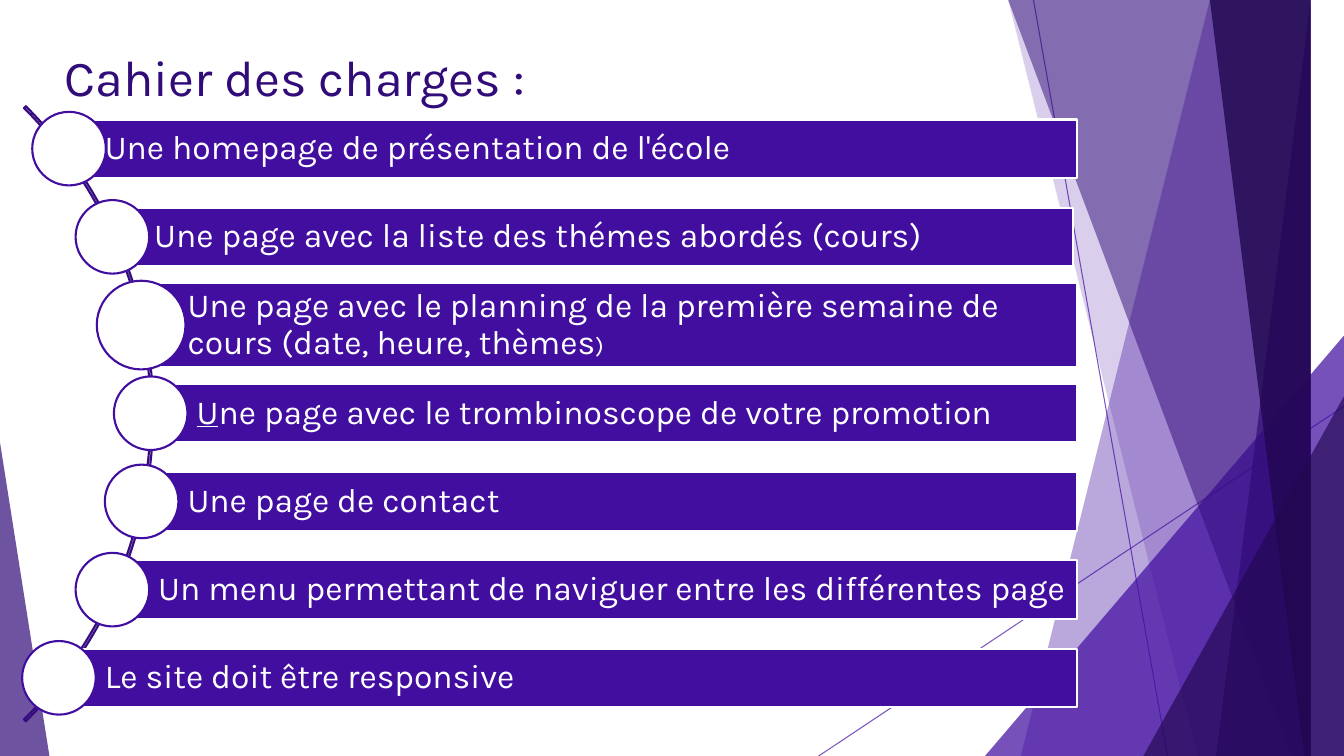
from dataclasses import dataclass

from lxml.etree import SubElement
from pptx import Presentation
from pptx.dml.color import RGBColor
from pptx.enum.shapes import MSO_CONNECTOR, MSO_SHAPE
from pptx.enum.text import MSO_ANCHOR, MSO_AUTO_SIZE, PP_ALIGN
from pptx.oxml.ns import qn
from pptx.util import Inches, Pt


@dataclass(frozen=True)
class Theme:
    font: str = "Karla"
    white: str = "FFFFFF"
    main: str = "420EA0"
    arc: str = "350B80"
    dark: str = "310B78"
    deep: str = "210750"
    title: int = 36
    body: int = 24
    small: int = 17
    edge: float = 1.5
    thin: float = 0.75


WIDE, HIGH = 13.33, 7.5
TOP = -0.01


class Deck:
    def __init__(self, theme):
        self.theme = theme
        self.prs = Presentation()
        self.prs.slide_width = Inches(WIDE)
        self.prs.slide_height = Inches(HIGH)
        self.slide = self.prs.slides.add_slide(self.prs.slide_layouts[5])
        self.shapes = self.slide.shapes

    def fade(self, fill, share):
        color = fill._xPr.find(qn("a:solidFill"))[0]
        SubElement(color, qn("a:alpha")).set("val", str(share * 1000))

    def paint(self, shape, fill=None, line=None, share=100):
        shape.shadow.inherit = False
        if fill:
            shape.fill.solid()
            shape.fill.fore_color.rgb = RGBColor.from_string(fill)
            if share < 100:
                self.fade(shape.fill, share)
        else:
            shape.fill.background()
        if line:
            shape.line.color.rgb = RGBColor.from_string(line)
            shape.line.width = Pt(self.theme.edge)
        else:
            shape.line.fill.background()
        return shape

    def shape(self, kind, box, fill=None, line=None, share=100, adjust=()):
        shape = self.shapes.add_shape(kind, *map(Inches, box))
        for i, value in enumerate(adjust):
            shape.adjustments[i] = value
        return self.paint(shape, fill, line, share)

    def facet(self, points, fill, share):
        form = self.shapes.build_freeform(*points[0], scale=Inches(1))
        form.add_line_segments(points[1:], close=True)
        return self.paint(form.convert_to_shape(), fill, share=share)

    def line(self, start, end):
        line = self.shapes.add_connector(
            MSO_CONNECTOR.STRAIGHT, *map(Inches, start + end))
        line.line.color.rgb = RGBColor.from_string(self.theme.main)
        line.line.width = Pt(self.theme.thin)
        self.fade(line.line.fill, 70)
        SubElement(line._element.spPr, qn("a:effectLst"))

    def style(self, run, size, color):
        run.font.name = self.theme.font
        run.font.size = Pt(size)
        run.font.color.rgb = RGBColor.from_string(color)

    def title(self, text, box):
        title = self.shapes.title
        title.left, title.top, title.width, title.height = map(Inches, box)
        frame = title.text_frame
        frame.text = text
        frame.word_wrap = True
        frame.auto_size = MSO_AUTO_SIZE.SHAPE_TO_FIT_TEXT
        frame.vertical_anchor = MSO_ANCHOR.TOP
        frame.paragraphs[0].alignment = PP_ALIGN.LEFT
        self.style(frame.paragraphs[0].runs[0], self.theme.title, self.theme.dark)
        # Bring the title in front of the backdrop
        self.shapes._spTree.append(title._element)

    def bar(self, parts, box):
        theme = self.theme
        bar = self.shape(MSO_SHAPE.RECTANGLE, box, theme.main, theme.white)
        frame = bar.text_frame
        frame.word_wrap = True
        frame.vertical_anchor = MSO_ANCHOR.MIDDLE
        frame.margin_left = Inches(0.46)
        frame.margin_right = frame.margin_top = frame.margin_bottom = Inches(0.07)
        para = frame.paragraphs[0]
        para.alignment = PP_ALIGN.LEFT
        para.line_spacing = 0.9
        for text, size, under in parts:
            run = para.add_run()
            run.text = text
            self.style(run, size, theme.white)
            if under:
                run.font.underline = True

    def dot(self, box):
        self.shape(MSO_SHAPE.OVAL, box, self.theme.white, self.theme.main)


def main():
    theme = Theme()
    deck = Deck(theme)

    # Backdrop: thin lines, then translucent facets
    deck.line((10.25, 0), (11.58, HIGH))
    deck.line((WIDE, 4.03), (8.12, HIGH))

    def side(top, foot, fill, share):
        deck.facet([(top, TOP), (WIDE, TOP), (WIDE, HIGH), (foot, HIGH)],
                   fill, share)

    def wedge(box, fill, share, tip=1):
        deck.shape(MSO_SHAPE.ISOSCELES_TRIANGLE, box, fill, share=share,
                   adjust=[tip])

    side(12.28, 10.04, theme.main, 36)
    side(10.5, 11.83, theme.main, 20)
    wedge((9.77, 3.33, 3.56, 4.17), theme.main, 72)
    side(10.21, 12.91, theme.dark, 50)
    side(13.03, 11.92, theme.dark, 70)
    side(11.96, 13.18, theme.deep, 80)
    wedge((11.34, 3.93, 1.99, 3.57), theme.deep, 66)
    wedge((0, 4.39, 0.49, 3.11), theme.dark, 70, tip=0)

    # Title
    deck.title("Cahier des charges :", (0.54, 0.41, 4.84, 0.71))

    # Curve behind the list
    deck.shape(MSO_SHAPE.BLOCK_ARC, (-7.11, -0.21, 8.63, 8.63),
               line=theme.arc, adjust=[189, 27, 0.003])

    # List: text runs, bar left, bar right, bar height, dot left, dot size
    def run(text, size=theme.body, under=False):
        return text, size, under

    items = [
        ([run("Une homepage de présentation de l'école")],
         0.58, 10.68, 0.58, 0.32, 0.73),
        ([run("Une page avec la liste des thémes abordés (cours)")],
         1.07, 10.64, 0.58, 0.75, 0.73),
        ([run("Une page avec le planning de la première semaine de "
              "cours (date, heure, thèmes"), run(")", theme.small)],
         1.4, 10.68, 0.83, 0.96, 0.88),
        ([run("U", under=True),
          run("ne page avec le trombinoscope de votre promotion")],
         1.49, 10.68, 0.58, 1.13, 0.73),
        ([run("Une page de contact")],
         1.4, 10.68, 0.58, 1.04, 0.73),
        ([run("Un menu permettant de naviguer entre les différentes page")],
         1.11, 10.68, 0.58, 0.75, 0.73),
        ([run("Le site doit être responsive")],
         0.58, 10.68, 0.58, 0.22, 0.73),
    ]
    middle, pitch = 4.1, 7 / 8
    for i, (parts, left, right, high, spot, size) in enumerate(items):
        y = middle + (i - len(items) // 2) * pitch
        deck.bar(parts, (left, y - high / 2, right - left, high))
        deck.dot((spot, y - size / 2, size, size))

    deck.prs.save("out.pptx")


if __name__ == "__main__":
    main()
